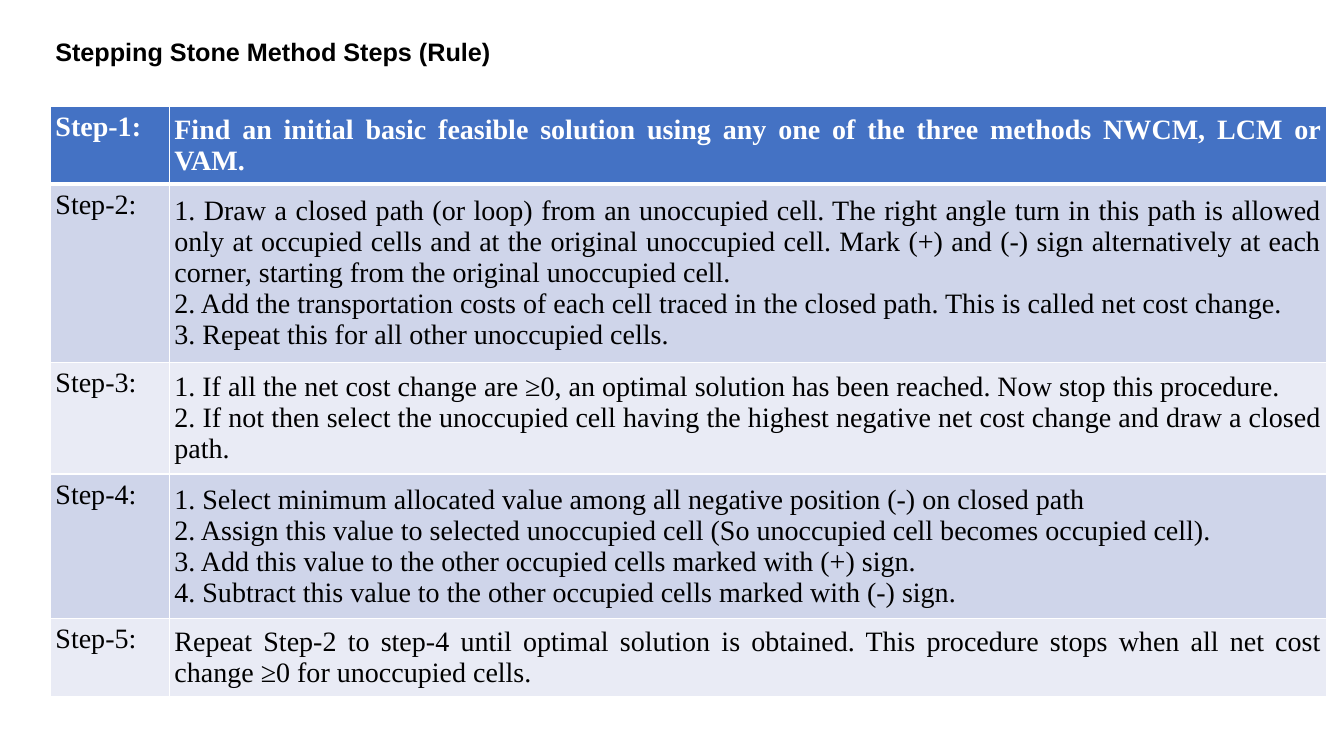
import dataclasses
import typing

import lxml.etree
import pptx
import pptx.dml.color
import pptx.enum.text
import pptx.oxml.ns
import pptx.util

RGB = pptx.dml.color.RGBColor
ALIGN = pptx.enum.text.PP_ALIGN
ANCHOR = pptx.enum.text.MSO_ANCHOR

BLACK = RGB(0x00, 0x00, 0x00)
WHITE = RGB(0xFF, 0xFF, 0xFF)
BLUE = RGB(0x44, 0x72, 0xC4)
BANDS = (RGB(0xCF, 0xD5, 0xEA), RGB(0xE9, 0xEB, 0xF5))

WIDE = pptx.util.Inches(13.33)
HIGH = pptx.util.Inches(7.5)
COLS = (8.85, 86.12)
INSET = pptx.util.Inches(0.05)
MARGINS = {f"margin_{side}": INSET for side in ("left", "top", "right", "bottom")}

TITLE = {"name": "Arial", "size": pptx.util.Pt(18), "bold": True}
BODY = {"name": "Times New Roman", "size": pptx.util.Pt(20), "bold": False}
HEAD = BODY | {"bold": True}


@dataclasses.dataclass(frozen=True)
class Step:
    share: float
    lines: tuple[str, ...]


STEPS = (
    Step(10.27, (
        "Find an initial basic feasible solution using any one of the three methods NWCM, LCM or VAM.",
    )),
    Step(23.53, (
        "1. Draw a closed path (or loop) from an unoccupied cell. The right angle turn in this path "
        "is allowed only at occupied cells and at the original unoccupied cell. Mark (+) and (-) sign "
        "alternatively at each corner, starting from the original unoccupied cell.",
        "2. Add the transportation costs of each cell traced in the closed path. "
        "This is called net cost change.",
        "3. Repeat this for all other unoccupied cells.",
    )),
    Step(14.8, (
        "1. If all the net cost change are ≥0, an optimal solution has been reached. "
        "Now stop this procedure. ",
        "2. If not then select the unoccupied cell having the highest negative net cost change "
        "and draw a closed path.",
    )),
    Step(19.13, (
        "1. Select minimum allocated value among all negative position (-) on closed path",
        "2. Assign this value to selected unoccupied cell (So unoccupied cell becomes occupied cell).",
        "3. Add this value to the other occupied cells marked with (+) sign.",
        "4. Subtract this value to the other occupied cells marked with (-) sign.",
    )),
    Step(10.27, (
        "Repeat Step-2 to step-4 until optimal solution is obtained. This procedure stops when "
        "all net cost change ≥0 for unoccupied cells.",
    )),
)


def across(share: float) -> int:
    return round(WIDE * share / 100)


def down(share: float) -> int:
    return round(HIGH * share / 100)


def apply(item: typing.Any, values: dict[str, typing.Any]) -> None:
    for name, value in values.items():
        setattr(item, name, value)


def write(frame: typing.Any, lines: tuple[str, ...], style: dict[str, typing.Any],
          tint: RGB, align: typing.Any) -> None:
    frame.text = "\n".join(lines)
    for para in frame.paragraphs:
        para.alignment = align
        for run in para.runs:
            apply(run.font, style)
            run.font.color.rgb = tint


def border(cell: typing.Any, widths: dict[str, int]) -> None:
    props = cell._tc.get_or_add_tcPr()
    tag = pptx.oxml.ns.qn
    for side, width in widths.items():
        line = lxml.etree.SubElement(props, tag(f"a:ln{side}"), w=str(pptx.util.Pt(width)))
        fill = lxml.etree.SubElement(line, tag("a:solidFill"))
        lxml.etree.SubElement(fill, tag("a:srgbClr"), val=str(WHITE))


def title(slide: typing.Any) -> None:
    box = slide.shapes.add_textbox(across(3.38), down(4.13), across(73), down(5.33))
    frame = box.text_frame
    frame.word_wrap = True
    write(frame, ("Stepping Stone Method Steps (Rule)",), TITLE, BLACK, ALIGN.LEFT)


def table(slide: typing.Any) -> None:
    high = sum(step.share for step in STEPS)
    grid = slide.shapes.add_table(len(STEPS), len(COLS), across(3.75), down(14.07),
                                  across(sum(COLS)), down(high)).table
    for col, share in zip(grid.columns, COLS):
        col.width = across(share)
    for row, step in enumerate(STEPS):
        grid.rows[row].height = down(step.share)
        first = row == 0
        style, tint = (HEAD, WHITE) if first else (BODY, BLACK)
        edges = {"L": 1, "R": 1, "T": 3 if row == 1 else 1, "B": 3 if first else 1}
        pairs = (((f"Step-{row + 1}:",), ANCHOR.TOP), (step.lines, ANCHOR.MIDDLE))
        for col, (lines, anchor) in enumerate(pairs):
            cell = grid.cell(row, col)
            apply(cell, MARGINS | {"vertical_anchor": anchor})
            border(cell, edges)
            cell.fill.solid()
            cell.fill.fore_color.rgb = BLUE if first else BANDS[(row - 1) % 2]
            write(cell.text_frame, lines, style, tint, ALIGN.JUSTIFY)


def main() -> None:
    deck = pptx.Presentation()
    apply(deck, {"slide_width": WIDE, "slide_height": HIGH})
    slide = deck.slides.add_slide(deck.slide_layouts[6])
    title(slide)
    table(slide)
    deck.save("out.pptx")


if __name__ == "__main__":
    main()
